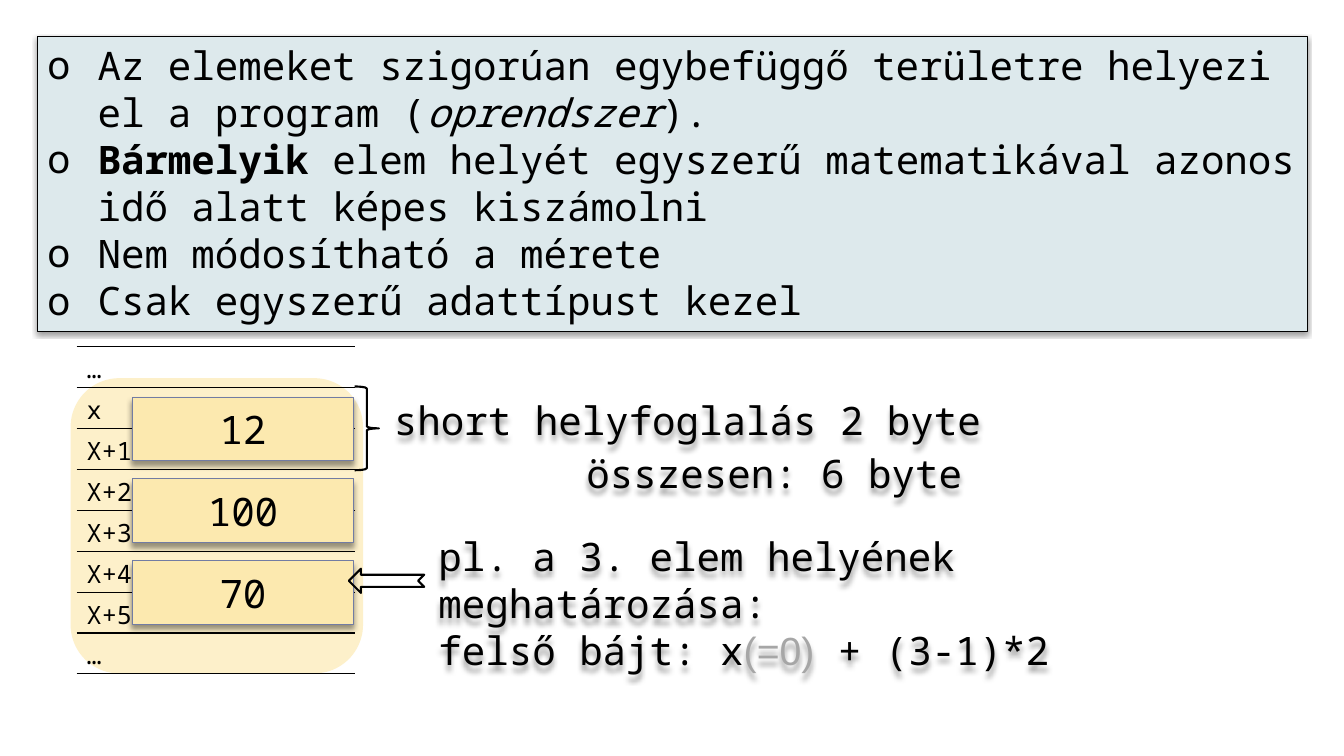
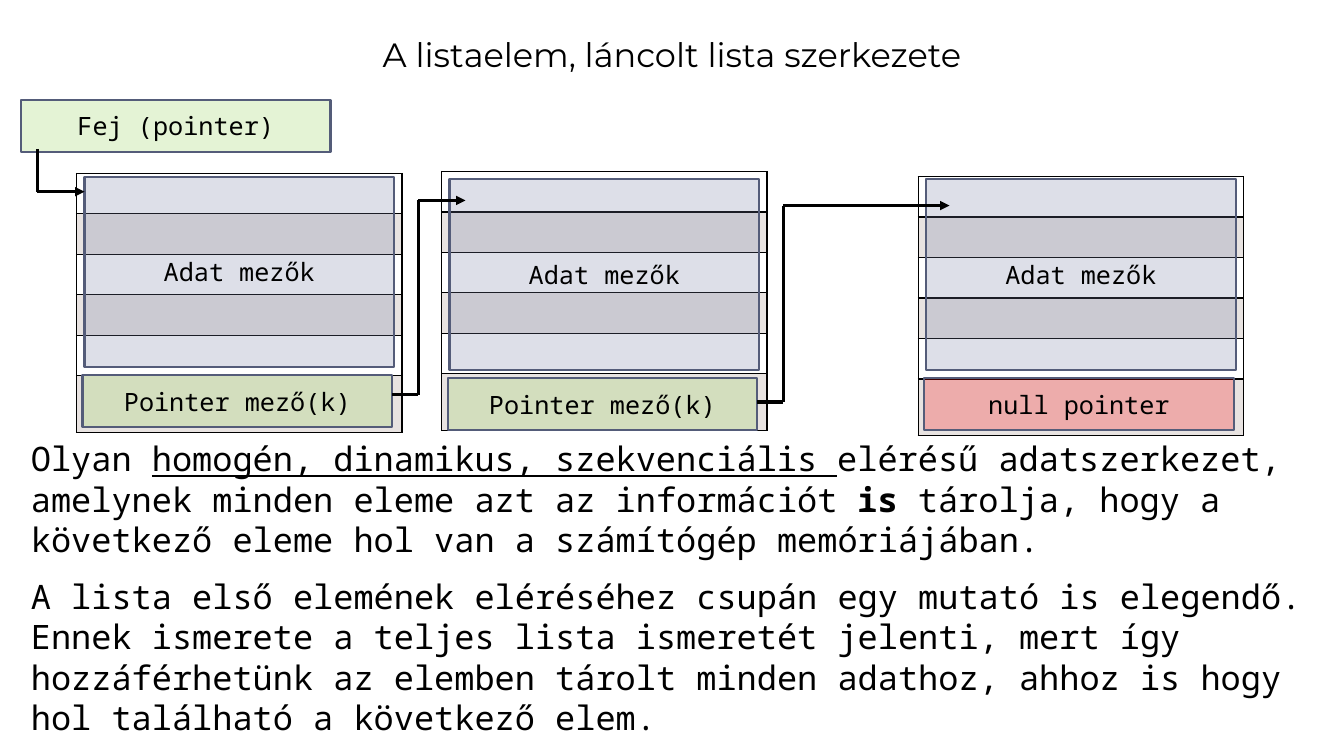
from itertools import pairwise
from lxml import etree
from pptx import Presentation
from pptx.dml.color import RGBColor
from pptx.enum import shapes, text
from pptx.oxml.ns import qn
from pptx.util import Cm, Pt

COLORS = {
    "ink": "000000", "muted": "A6A6A6", "panel": "DDE9EC",
    "memory": "FDF0CA", "value": "FCE9AF", "slate": "727CA3",
    "outline": "545C79", "band": "8E736A", "pointer": "92D050", "null": "FF0000",
}
MONO = "Noto Sans Mono"
LARGE = {"size": Pt(28), "name": MONO}
BODY = {"size": Pt(24), "name": MONO}
LABEL = {"size": Pt(18), "name": MONO}
TITLE = {"size": Pt(24), "name": "Montserrat"}
SOFT_SHADOW = {"blurRad": "50800", "dist": "43000"}
PANEL_SHADOW = {"blurRad": "38100", "dist": "25400"}
CENTERED = {"alignment": text.PP_ALIGN.CENTER}
RECT = shapes.MSO_SHAPE.RECTANGLE
WIDTH, HEIGHT = 33.87, 19.05


def rgb(name):
    return RGBColor.from_string(COLORS[name])


def child(parent, tag, **attributes):
    return etree.SubElement(parent, qn(tag), attributes)


def apply(target, values):
    for key, value in values.items():
        setattr(target, key, value)


def paint(fill, properties, color, alpha=None):
    if color is None:
        fill.background()
        return
    fill.solid()
    fill.fore_color.rgb = rgb(color)
    if alpha:
        swatch = properties.find(qn("a:solidFill")).find(qn("a:srgbClr"))
        child(swatch, "a:alpha", val=str(alpha * 1000))


def cast_shadow(shape, shadow):
    shape.shadow.inherit = False
    if shadow:
        effects = shape.element.spPr.find(qn("a:effectLst"))
        outer = child(effects, "a:outerShdw", **shadow, dir="5400000", rotWithShape="0")
        child(child(outer, "a:srgbClr", val=COLORS["ink"]), "a:alpha", val="40000")


def write(frame, paragraphs, font, layout=None, bullet=None):
    frame.word_wrap = True
    for index, runs in enumerate(paragraphs):
        paragraph = frame.add_paragraph() if index else frame.paragraphs[0]
        apply(paragraph, {"alignment": text.PP_ALIGN.LEFT, **(layout or {})})
        if bullet:
            properties = paragraph._p.get_or_add_pPr()
            properties.set("marL", str(Cm(1.27)))
            properties.set("indent", str(-Cm(1.27)))
            child(properties, "a:buFont", typeface=MONO)
            child(properties, "a:buChar", char=bullet)
        for words, changes in runs:
            run = paragraph.add_run()
            run.text = words
            style = {**font, **changes}
            run.font.color.rgb = rgb(style.pop("color", "ink"))
            apply(run.font, style)


def plain(*lines):
    return [[(line, {})] for line in lines]


def add_text(slide, box, paragraphs, font, layout=None, shadow=None):
    area = slide.shapes.add_textbox(*map(Cm, box))
    write(area.text_frame, paragraphs, font, layout)
    cast_shadow(area, shadow)


def add_block(slide, kind, box, fill=None, line=None, alpha=None, weight=0.75, shadow=None):
    block = slide.shapes.add_shape(kind, *map(Cm, box))
    paint(block.fill, block.element.spPr, fill, alpha)
    if line:
        block.line.color.rgb = rgb(line)
        block.line.width = Pt(weight)
    else:
        block.line.fill.background()
    cast_shadow(block, shadow)
    return block


def add_labelled(slide, box, label, font, **look):
    block = add_block(slide, RECT, box, **look)
    block.text_frame.vertical_anchor = text.MSO_ANCHOR.MIDDLE
    write(block.text_frame, plain(label), font, CENTERED)


def add_rows(slide, x, y, width, heights, labels, sides, bands=False):
    frame = slide.shapes.add_table(len(heights), 1, Cm(x), Cm(y), Cm(width), Cm(sum(heights)))
    table = frame.table
    apply(table, {"first_row": False, "horz_banding": False})
    for index, (height, label) in enumerate(zip(heights, labels)):
        table.rows[index].height = Cm(height)
        cell = table.cell(index, 0)
        properties = cell._tc.get_or_add_tcPr()
        for side in "LRTB":
            border = child(properties, f"a:ln{side}", w=str(Pt(1)))
            if side in sides:
                child(child(border, "a:solidFill"), "a:srgbClr", val=COLORS["ink"])
            else:
                child(border, "a:noFill")
        banded = bands and index % 2
        paint(cell.fill, properties, "band" if banded else None, 20)
        if label:
            write(cell.text_frame, plain(label), LABEL)
        else:
            cell.text_frame.paragraphs[0].font.size = Pt(12)


def add_route(slide, points):
    for index, (start, end) in enumerate(pairwise(points)):
        segment = slide.shapes.add_connector(
            shapes.MSO_CONNECTOR.STRAIGHT, *map(Cm, (*start, *end)))
        segment.line.color.rgb = rgb("ink")
        segment.line.width = Pt(2.25)
        properties = segment.element.spPr
        if index == len(points) - 2:
            child(properties.find(qn("a:ln")), "a:tailEnd", type="triangle")
        child(properties, "a:effectLst")


def add_features(slide, box):
    panel = add_block(slide, RECT, box, "panel", "ink", shadow=PANEL_SHADOW)
    apply(panel.text_frame, {"vertical_anchor": text.MSO_ANCHOR.TOP, "margin_right": Cm(0.1)})
    write(panel.text_frame, [
        [("Az elemeket szigorúan egybefüggő területre helyezi el a program (", {}),
         ("oprendszer", {"italic": True}), (").", {})],
        [("Bármelyik", {"bold": True}),
         (" elem helyét egyszerű matematikával azonos idő alatt képes kiszámolni", {})],
        *plain("Nem módosítható a mérete", "Csak egyszerű adattípust kezel"),
    ], LARGE, bullet="o")


def add_memory(slide, x, y):
    row, width = 1.03, 7.01
    addresses = ["…", "x", *(f"X+{offset}" for offset in range(1, 6)), "…"]
    add_rows(slide, x, y, width, [row] * len(addresses), addresses, "TB")
    for index, value in enumerate(("12", "100", "70")):
        top = y + row * (1 + 2 * index) + 0.24
        add_labelled(slide, (x + 1.4, top, 5.59, 1.6), value, LARGE,
                     fill="value", line="slate", shadow=SOFT_SHADOW)
    add_block(slide, shapes.MSO_SHAPE.RIGHT_BRACE,
              (x + width, y + 1, 0.61, 2.11), line="ink", weight=1.5)
    arrow = add_block(slide, shapes.MSO_SHAPE.NOTCHED_RIGHT_ARROW,
                      (x + 6.86, y + 5.59, 1.9, 0.61), line="ink", weight=1.5)
    arrow.rotation = 180


def add_array_slide(slide):
    add_block(slide, shapes.MSO_SHAPE.ROUNDED_RECTANGLE, (1.78, 9.53, 7.37, 7.44), "memory")
    formula = [("felső bájt: x", {}), ("(=0)", {"name": "Arial", "color": "muted"}),
               (" + (3-1)*2", {})]
    remarks = (
        ((9.68, 9.86, 16.31, 1.45), plain("short helyfoglalás 2 byte")),
        ((14.53, 11.2, 11.61, 1.45), plain("összesen: 6 byte")),
        ((10.8, 13.28, 21.74, 2.64),
         [*plain("pl. a 3. elem helyének meghatározása:"), formula]),
    )
    for box, paragraphs in remarks:
        add_text(slide, box, paragraphs, LARGE, shadow=SOFT_SHADOW)
    add_memory(slide, 1.93, 8.74)
    add_features(slide, (0.94, 0.91, 32, 7.44))


def add_field(slide, x, y, height, label, color):
    add_labelled(slide, (x, y, 7.8, height), label, LABEL,
                 fill=color, alpha=24, line="outline", weight=1.5)


def add_node(slide, x, y, data_top, link, color):
    add_rows(slide, x, y, 8.2, [1.02] * 5 + [1.43], [""] * 6, "LRTB", bands=True)
    add_field(slide, x + 0.2, data_top, 4.8, "Adat mezők", "slate")
    add_field(slide, x + 0.15, data_top + 5, 1.32, link, color)


def add_list_slide(slide):
    add_text(slide, (0, 0.74, WIDTH, 1.27), plain("A listaelem, láncolt lista szerkezete"),
             TITLE, CENTERED)
    nodes = (
        (1.93, 4.37, 4.45, "Pointer mező(k)", "pointer"),
        (11.13, 4.32, 4.52, "Pointer mező(k)", "pointer"),
        (23.14, 4.45, 4.52, "null pointer", "null"),
    )
    for node in nodes:
        add_node(slide, *node)
    add_field(slide, 0.53, 2.51, 1.32, "Fej (pointer)", "pointer")
    routes = (
        ((0.94, 3.75), (0.94, 4.83), (2.13, 4.83)),
        ((9.88, 9.95), (10.54, 9.95), (10.54, 5.05), (11.73, 5.05)),
        ((19.08, 10.13), (19.74, 10.13), (19.74, 5.18), (23.93, 5.18)),
    )
    for route in routes:
        add_route(slide, route)
    add_text(slide, (0.53, 10.92, 33.32, 7.87), [
        [("Olyan ", {}), ("homogén, dinamikus, szekvenciális ", {"underline": True}),
         ("elérésű adatszerkezet, amelynek minden eleme azt az információt ", {}),
         ("is", {"bold": True}),
         (" tárolja, hogy a következő eleme hol van a számítógép memóriájában.", {})],
        *plain("A lista első elemének eléréséhez csupán egy mutató is elegendő. "
               "Ennek ismerete a teljes lista ismeretét jelenti, mert így hozzáférhetünk "
               "az elemben tárolt minden adathoz, ahhoz is hogy hol található a következő elem."),
    ], BODY, {"space_after": Pt(12)})


def main():
    deck = Presentation()
    apply(deck, {"slide_width": Cm(WIDTH), "slide_height": Cm(HEIGHT)})
    for build in (add_array_slide, add_list_slide):
        build(deck.slides.add_slide(deck.slide_layouts[6]))
    deck.save("out.pptx")


if __name__ == "__main__":
    main()
